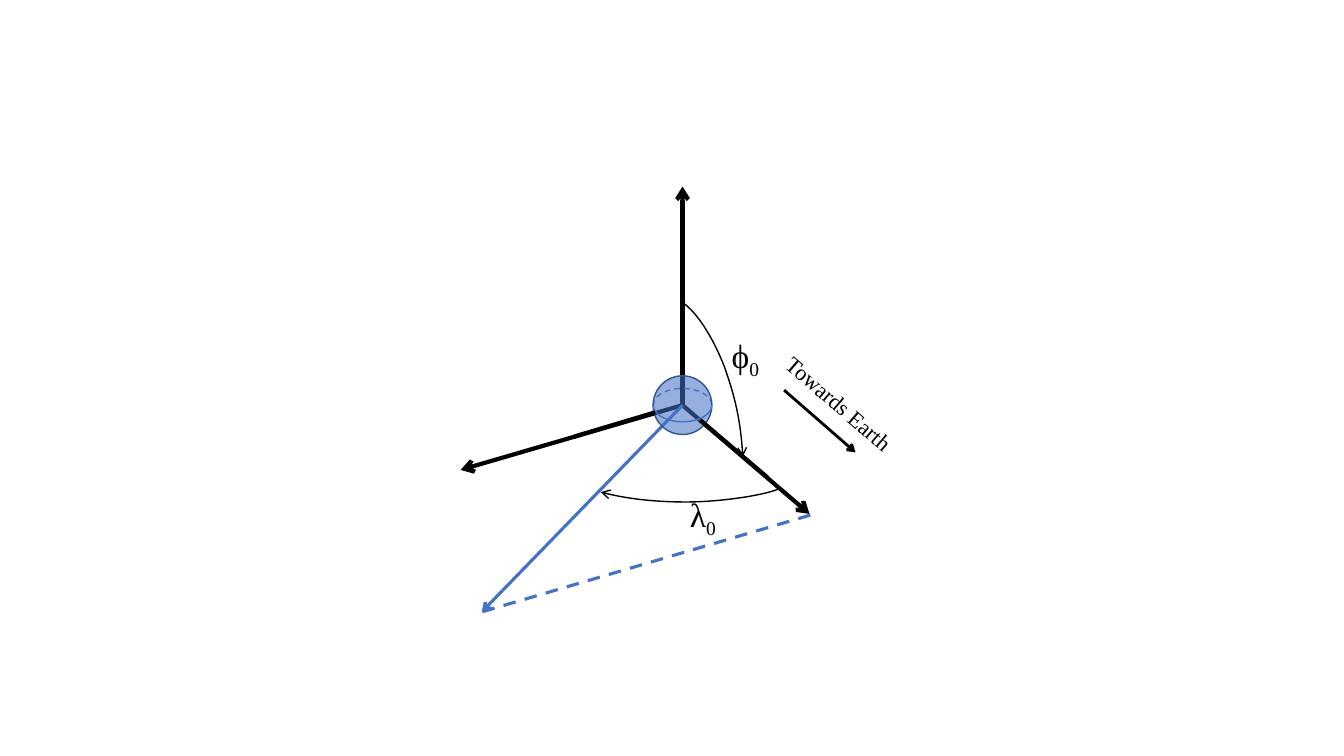
from pptx import Presentation
from pptx import util as u
from pptx.dml.color import RGBColor
from pptx.enum import dml, shapes, text
from pptx.oxml.ns import qn
from lxml import etree

BLACK, BLUE, DARK_BLUE = "000000", "4472C4", "325491"


def rgb(value):
    return RGBColor.from_string(value)


def outline(item, color, width, dashed=False, arrow=False):
    """Style a line and switch off the theme shadow."""
    item.line.color.rgb = rgb(color)
    item.line.width = u.Pt(width)
    if dashed:
        item.line.dash_style = dml.MSO_LINE.DASH
    properties = item.element.spPr
    if arrow:
        tail = etree.SubElement(properties.find(qn("a:ln")), qn("a:tailEnd"))
        tail.set("type", "arrow")
    etree.SubElement(properties, qn("a:effectLst"))


deck = Presentation()
deck.slide_width, deck.slide_height = u.Cm(33.87), u.Cm(19.05)
slide = deck.slides.add_slide(deck.slide_layouts[6])

# Lines as start, end, colour, width, dashed, arrow
origin = (17.2, 10.21)
projection = (12.14, 15.42)
axes = [
    ((20.42, 12.98), projection, BLUE, 2.25, True, False),
    (origin, (17.2, 4.7), BLACK, 3, False, True),
    (origin, (20.4, 12.95), BLACK, 3, False, True),
    (origin, (11.61, 11.84), BLACK, 3, False, True),
    (origin, projection, BLUE, 2.25, False, True),
]
front_lines = [
    ((19.76, 9.83), (21.56, 11.4), BLACK, 2, False, True),
    ((17.65, 10.59), (19.35, 12.04), BLACK, 3, False, False),
    ((14.48, 11), (16.51, 10.39), BLACK, 3, False, False),
]

# Axes and the projected direction
for start, end, *style in axes:
    axis = slide.shapes.add_connector(
        shapes.MSO_CONNECTOR.STRAIGHT, *map(u.Cm, start + end))
    outline(axis, *style)

# Sphere between the far and near halves of its equator
ARC, OVAL = shapes.MSO_SHAPE.ARC, shapes.MSO_SHAPE.OVAL
diameter, equator_depth = 1.48, 0.84
sphere = slide.shapes.add_group_shape()
for kind, width, color, dashed, angles in [
    (ARC, equator_depth, BLUE, True, (53.22, 162.19)),
    (OVAL, diameter, DARK_BLUE, False, ()),
    (ARC, equator_depth, BLUE, False, (162, 53.59)),
]:
    part = sphere.shapes.add_shape(
        kind, u.Cm(origin[0] - width / 2), u.Cm(origin[1] - diameter / 2),
        u.Cm(width), u.Cm(diameter))
    outline(part, color, 1, dashed)
    if kind == OVAL:
        part.fill.solid()
        part.fill.fore_color.rgb = rgb(BLUE)
        tint = part.element.spPr.find(qn("a:solidFill"))[0]
        etree.SubElement(tint, qn("a:alpha")).set("val", "56000")
    else:
        part.fill.background()
        part.rotation = 90
        for index, angle in enumerate(angles):
            part.adjustments[index] = angle

# Angle arcs: a start point, then three points per Bézier segment
longitude = [(19.63, 12.32), (19.2, 12.5), (18.08, 12.65), (17.3, 12.65),
             (16.51, 12.65), (15.67, 12.55), (15.14, 12.4)]
latitude = [(17.2, 7.62), (17.81, 8.05), (18.26, 9.22), (18.31, 9.4),
            (18.59, 10.21), (18.69, 10.95), (18.72, 11.51)]
for points in (longitude, latitude):
    start, *rest = [(u.Cm(x), u.Cm(y)) for x, y in points]
    builder = slide.shapes.build_freeform(*start)
    builder.add_line_segments(rest, close=False)
    sweep = builder.convert_to_shape()
    sweep.fill.background()
    outline(sweep, BLACK, 1, arrow=True)
    steps = sweep.element.xpath(".//a:lnTo")
    for first in range(0, len(steps), 3):
        curve = etree.Element(qn("a:cubicBezTo"))
        steps[first].addprevious(curve)
        for step in steps[first:first + 3]:
            curve.append(step[0])
            step.getparent().remove(step)

# Earth arrow and the axis parts in front of the sphere
for start, end, *style in front_lines:
    front = slide.shapes.add_connector(
        shapes.MSO_CONNECTOR.STRAIGHT, *map(u.Cm, start + end))
    outline(front, *style)

# Labels as wording, subscript, place, size, rotation
for wording, subscript, place, size, rotation in [
    ("λ", "0", (15.95, 12.32, 3.53, 1.27), 24, 0),
    ("ϕ", "0", (17.02, 8.31, 3.53, 1.27), 24, 0),
    ("Towards Earth", "", (18.72, 9.7, 4.85, 0.94), 16, 40.7),
]:
    label = slide.shapes.add_textbox(*map(u.Cm, place))
    label.rotation = rotation
    label.text_frame.word_wrap = True
    label.text_frame.auto_size = text.MSO_AUTO_SIZE.SHAPE_TO_FIT_TEXT
    paragraph = label.text_frame.paragraphs[0]
    paragraph.alignment = text.PP_ALIGN.CENTER
    paragraph.font.name = "Times New Roman"
    paragraph.font.size = u.Pt(size)
    paragraph.font.color.rgb = rgb(BLACK)
    paragraph.add_run().text = wording
    if subscript:
        lowered = paragraph.add_run()
        lowered.text = subscript
        lowered.font._element.set("baseline", "-25000")

deck.save("out.pptx")
